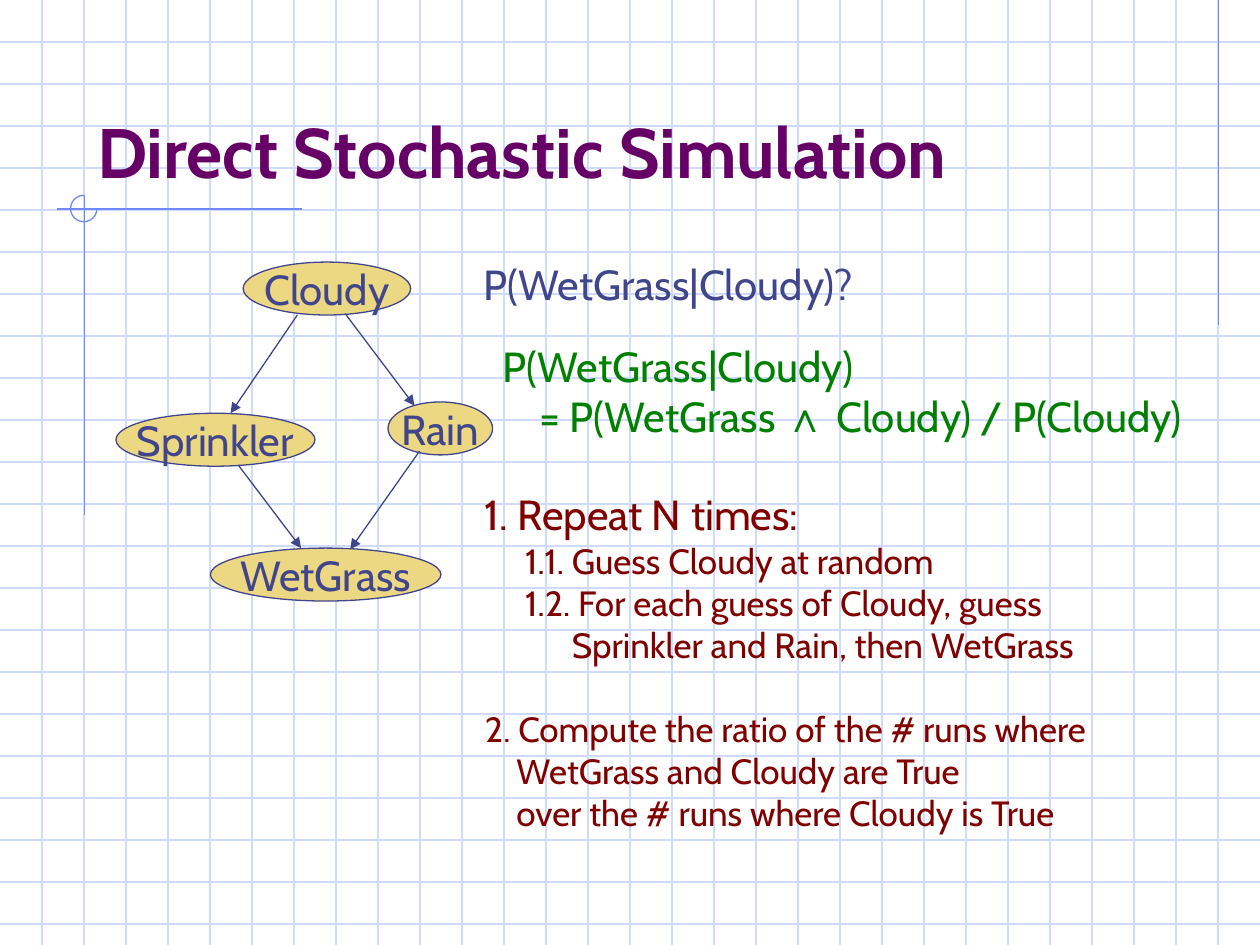
"""Build the slide on direct stochastic simulation in a Bayesian network."""
from lxml import etree
from pptx import Presentation
from pptx.dml.color import RGBColor
from pptx.enum.shapes import MSO_CONNECTOR, MSO_SHAPE
from pptx.enum.text import MSO_ANCHOR, MSO_AUTO_SIZE, PP_ALIGN
from pptx.oxml.ns import qn
from pptx.util import Inches, Pt

STRAIGHT = MSO_CONNECTOR.STRAIGHT
ELLIPSE, ARC = MSO_SHAPE.OVAL, MSO_SHAPE.ARC
LEFT, CENTER = PP_ALIGN.LEFT, PP_ALIGN.CENTER
TOP, MIDDLE, BOTTOM = MSO_ANCHOR.TOP, MSO_ANCHOR.MIDDLE, MSO_ANCHOR.BOTTOM

WIDTH, HEIGHT = 10, 7.5
CELL = 1 / 3
NODE_HEIGHT = 0.42
FONT = "Cabin"
COLORS = {
    "grid": "CFDBFD", "accent": "6F89F7", "title": "660066", "ink": "40458C",
    "node": "ECD882", "formula": "008000", "steps": "800000",
}

TITLE = "Direct Stochastic Simulation"
NODES = [
    ("Rain", 3.08, 3.19, 0.83),
    ("Sprinkler", 0.92, 3.28, 1.58),
    ("Cloudy", 1.93, 2.08, 1.33),
    ("WetGrass", 1.67, 4.35, 1.83),
]
EDGES = [
    (2.36, 2.5, 1.83, 3.28),
    (2.74, 2.49, 3.29, 3.22),
    (1.89, 3.69, 2.39, 4.35),
    (3.33, 3.58, 2.78, 4.36),
]
ACCENT_LINES = [
    (9.67, 0, 9.67, 2.58),
    (2.4, 1.66, 0.45, 1.66),
    (0.67, 1.55, 0.67, 4.09),
]
QUESTION = [{"text": "P(WetGrass|Cloudy)?"}]
FORMULA = [
    {"text": "P(WetGrass|Cloudy)"},
    {"text": "= P(WetGrass ∧ Cloudy) / P(Cloudy)", "indent": 0.29},
]
STEPS = [
    {"text": "1. Repeat N times:", "size": 24},
    {"text": "1.1. Guess Cloudy at random", "indent": 0.32},
    {"text": "1.2. For each guess of Cloudy, guess", "indent": 0.32},
    {"text": "Sprinkler and Rain, then WetGrass", "indent": 0.69},
    {"text": "2. Compute the ratio of the # runs where", "before": 24},
    {"text": "WetGrass and Cloudy are True", "indent": 0.25},
    {"text": "over the # runs where Cloudy is True", "indent": 0.25},
]
TEXT_BOXES = [
    (STEPS, (3.75, 3.83, 5.58, 3.17), "steps", 20),
    (QUESTION, (3.74, 2, 3.51, 0.5), "ink", 24),
    (FORMULA, (3.89, 2.65, 5.87, 0.9), "formula", 24),
]


def rgb(name):
    return RGBColor.from_string(COLORS[name])


def write_text(shape, lines, color="ink", size=24, bold=False, align=LEFT,
               anchor=TOP, wrap=True):
    frame = shape.text_frame
    frame.auto_size = MSO_AUTO_SIZE.NONE
    frame.word_wrap = wrap
    frame.vertical_anchor = anchor
    for index, line in enumerate(lines):
        paragraph = frame.add_paragraph() if index else frame.paragraphs[0]
        paragraph.alignment = align
        paragraph.space_before = Pt(line.get("before", 0))
        properties = paragraph._p.get_or_add_pPr()
        properties.set("marL", str(Inches(line.get("indent", 0))))
        properties.set("indent", "0")
        before, symbol, after = line["text"].partition("∧")
        for part in filter(None, (before, symbol, after)):
            run = paragraph.add_run()
            run.text = part
            font = run.font
            font.name = "Arial" if part == "∧" else FONT
            font.size = Pt(line.get("size", size))
            font.bold = bold or part == "∧"
            font.color.rgb = rgb(color)


def add_line(slide, ends, color, arrow=False):
    connector = slide.shapes.add_connector(STRAIGHT, *map(Inches, ends))
    connector.line.color.rgb = rgb(color)
    connector.line.width = Pt(0.75)
    if arrow:
        outline = connector.line._get_or_add_ln()
        etree.SubElement(outline, qn("a:tailEnd"), type="triangle")
    etree.SubElement(connector._element.spPr, qn("a:effectLst"))


def add_outline(slide, kind, box, color):
    shape = slide.shapes.add_shape(kind, *map(Inches, box))
    shape.shadow.inherit = False
    shape.line.color.rgb = rgb(color)
    shape.line.width = Pt(0.75)
    return shape


def add_background(slide):
    for row in range(1, int(HEIGHT / CELL) + 1):
        add_line(slide, (0, row * CELL, WIDTH, row * CELL), "grid")
    for column in range(1, round(WIDTH / CELL)):
        add_line(slide, (column * CELL, 0, column * CELL, HEIGHT), "grid")
    for ends in ACCENT_LINES:
        add_line(slide, ends, "accent")
    ring = add_outline(slide, ARC, (0.56, 1.55, 0.21, 0.21), "accent")
    ring.fill.background()
    ring.adjustments[0] = 0
    ring.adjustments[1] = 162


def add_title(slide):
    title = slide.shapes.title
    title.left, title.top, title.width, title.height = map(
        Inches, (0.67, 0.33, 8.5, 1.25))
    write_text(title, [{"text": TITLE}], color="title", size=40, bold=True,
               anchor=BOTTOM)
    slide.shapes._spTree.append(title._element)


def add_network(slide):
    for name, left, top, width in NODES:
        node = add_outline(slide, ELLIPSE, (left, top, width, NODE_HEIGHT), "ink")
        node.fill.solid()
        node.fill.fore_color.rgb = rgb("node")
        write_text(node, [{"text": name}], align=CENTER, anchor=MIDDLE, wrap=False)
    for ends in EDGES:
        add_line(slide, ends, "ink", arrow=True)


def main():
    presentation = Presentation()
    presentation.slide_width, presentation.slide_height = Inches(WIDTH), Inches(HEIGHT)
    slide = presentation.slides.add_slide(presentation.slide_layouts[5])
    add_background(slide)
    add_title(slide)
    add_network(slide)
    for lines, box, color, size in TEXT_BOXES:
        text_box = slide.shapes.add_textbox(*map(Inches, box))
        write_text(text_box, lines, color=color, size=size)
    presentation.save("out.pptx")


if __name__ == "__main__":
    main()
